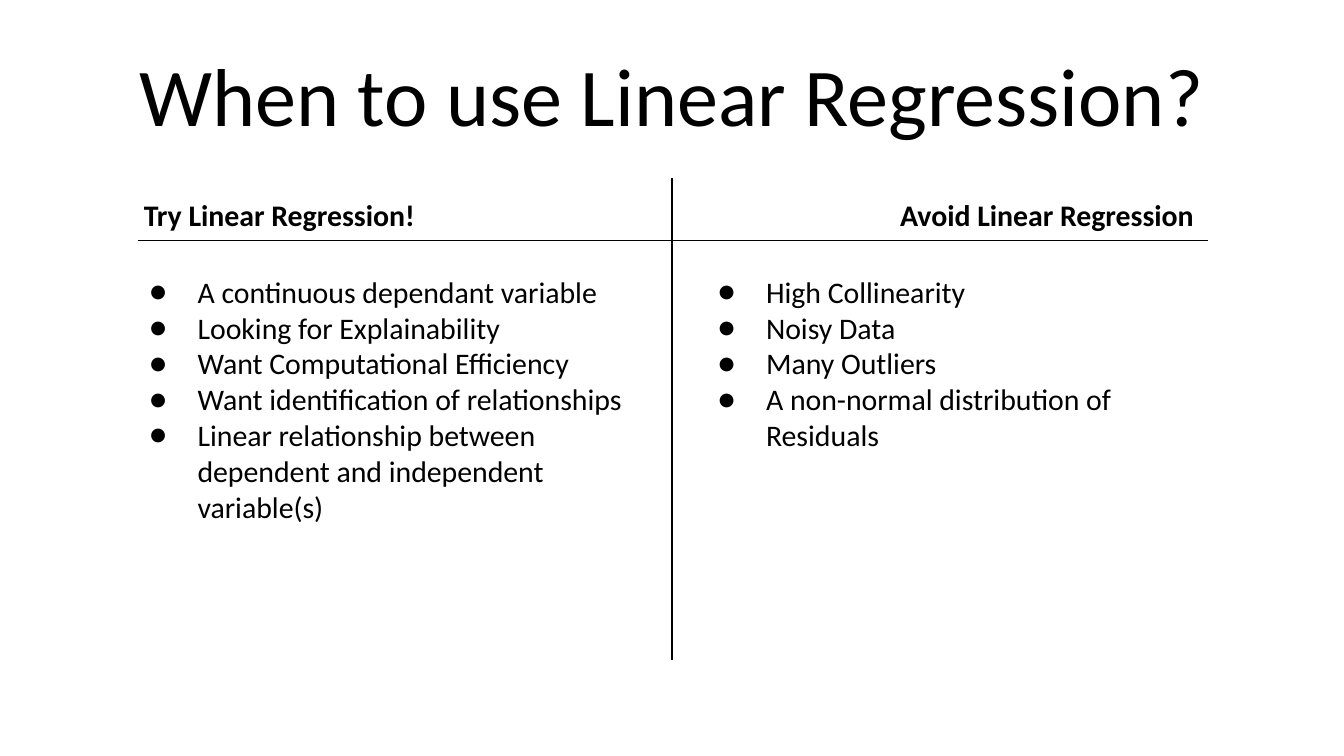
from lxml import etree
from pptx import Presentation
from pptx.dml.color import RGBColor
from pptx.enum.shapes import MSO_CONNECTOR
from pptx.enum.text import MSO_ANCHOR, MSO_AUTO_SIZE, PP_ALIGN
from pptx.oxml.ns import qn
from pptx.util import Pt

PX = 4572  # 200 px to the inch
LEFT, CENTER, RIGHT = PP_ALIGN.LEFT, PP_ALIGN.CENTER, PP_ALIGN.RIGHT
TOP, MIDDLE = MSO_ANCHOR.TOP, MSO_ANCHOR.MIDDLE
STRAIGHT = MSO_CONNECTOR.STRAIGHT
NO_AUTOFIT = MSO_AUTO_SIZE.NONE
FONT = "Calibri"
COLORS = {"background": "FFFFFF", "ink": "000000"}
SLIDE_W, SLIDE_H = 2000, 1125


def color(name):
    return RGBColor.from_string(COLORS[name])


def set_bullet(p):
    pPr = p._p.get_or_add_pPr()
    pPr.set("marL", str(100 * PX))
    pPr.set("indent", str(-72 * PX))
    clr = etree.SubElement(pPr, qn("a:buClr"))
    etree.SubElement(clr, qn("a:srgbClr"), val=COLORS["ink"])
    etree.SubElement(pPr, qn("a:buFont"), typeface=FONT)
    etree.SubElement(pPr, qn("a:buChar"), char="●")


def fill_text(sp, box, lines, size=16, bold=False, align=LEFT, anchor=TOP,
              inset=20, bullets=False):
    """Place a placeholder and write one formatted paragraph per line."""
    sp.left, sp.top, sp.width, sp.height = (v * PX for v in box)
    tf = sp.text_frame
    tf.word_wrap = True
    tf.auto_size = NO_AUTOFIT
    tf.vertical_anchor = anchor
    tf.margin_left = tf.margin_right = 20 * PX
    tf.margin_top = tf.margin_bottom = inset * PX
    for i, line in enumerate(lines):
        p = tf.add_paragraph() if i else tf.paragraphs[0]
        p.alignment = align
        p.space_before = Pt(0)
        if bullets:
            set_bullet(p)
        r = p.add_run()
        r.text = line
        r.font.name, r.font.size, r.font.bold = FONT, Pt(size), bold
        r.font.color.rgb = color("ink")


def add_line(slide, x1, y1, x2, y2):
    line = slide.shapes.add_connector(
        STRAIGHT, *(v * PX for v in (x1, y1, x2, y2)))
    line.line.color.rgb = color("ink")
    line.line.width = Pt(0.75)
    etree.SubElement(line._element.spPr, qn("a:effectLst"))


def fill_column(head, body, box, head_x, head_w, heading, items, align=LEFT):
    """Fill one side of the comparison: a heading with a list below it."""
    x, y, w, h = box
    fill_text(head, (x + head_x, y, head_w, 134), [heading],
              bold=True, align=align)
    fill_text(body, (x, y + 114, w, h - 114), items, bullets=True)


def add_dividers(slide, box):
    """Draw the T shape: a rule under the headings and a centre line."""
    x, y, w, h = box
    add_line(slide, SLIDE_W // 2, y, SLIDE_W // 2, y + h)
    add_line(slide, x, y + 93, x + w, y + 93)


def build_comparison(prs):
    slide = prs.slides.add_slide(prs.slide_layouts.get_by_name("Comparison"))
    fill = slide.background.fill
    fill.solid()
    fill.fore_color.rgb = color("background")

    title, try_head, try_body, avoid_head, avoid_body = slide.placeholders
    fill_text(title, (100, 46, 1800, 188), ["When to use Linear Regression?"],
              size=44, align=CENTER, anchor=MIDDLE, inset=10)
    add_dividers(slide, (205, 265, 1593, 717))
    fill_column(try_head, try_body, (174, 273, 780, 682), 20, 498,
                "Try Linear Regression!",
                ["A continuous dependant variable",
                 "Looking for Explainability",
                 "Want Computational Efficiency",
                 "Want identification of relationships",
                 "Linear relationship between dependent and independent "
                 "variable(s)"])
    fill_column(avoid_head, avoid_body, (1020, 273, 780, 682), 255, 522,
                "Avoid Linear Regression",
                ["High Collinearity",
                 "Noisy Data",
                 "Many Outliers",
                 "A non-normal distribution of Residuals"],
                align=RIGHT)


def main():
    prs = Presentation()
    prs.slide_width, prs.slide_height = SLIDE_W * PX, SLIDE_H * PX
    build_comparison(prs)
    prs.save("out.pptx")


if __name__ == "__main__":
    main()
